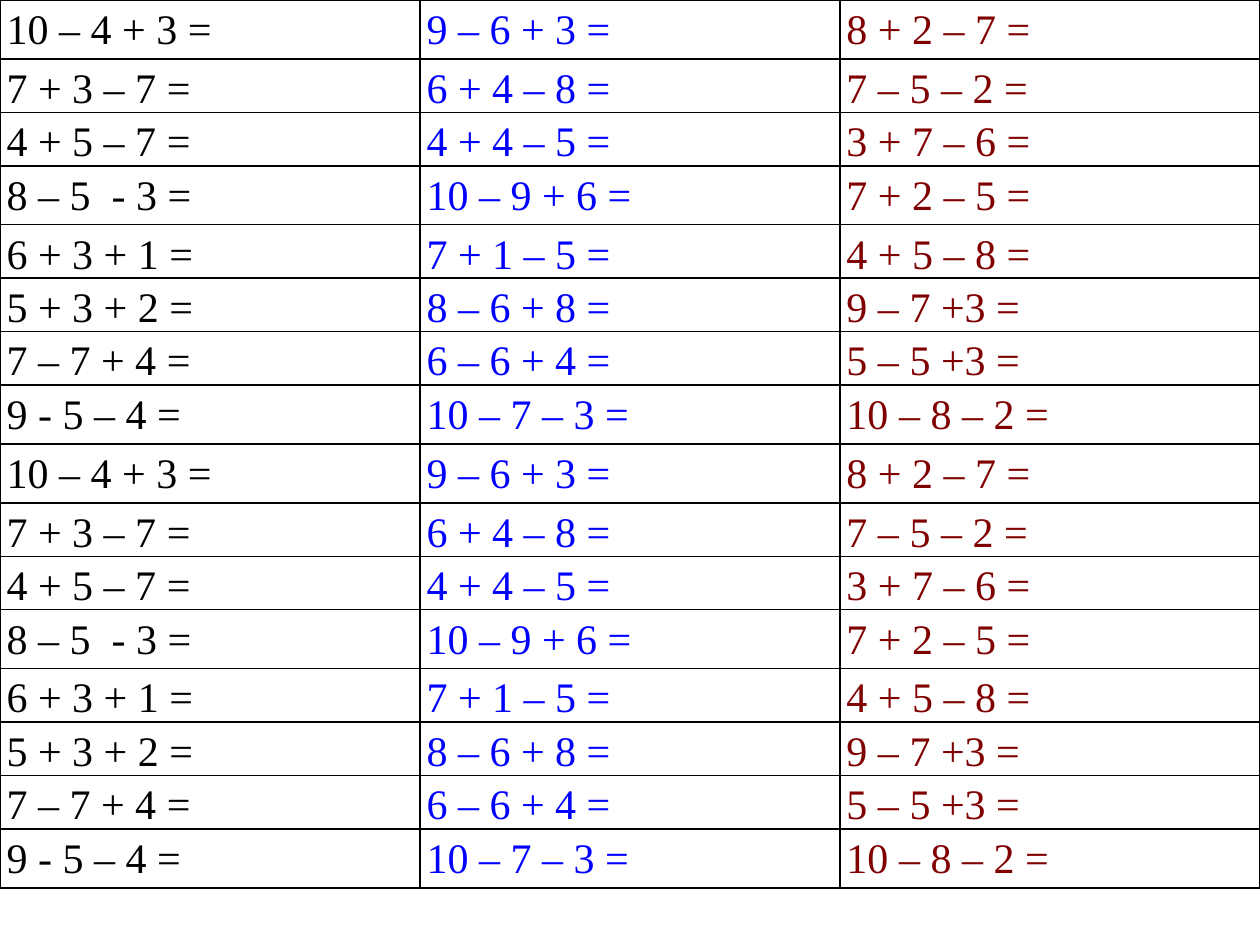
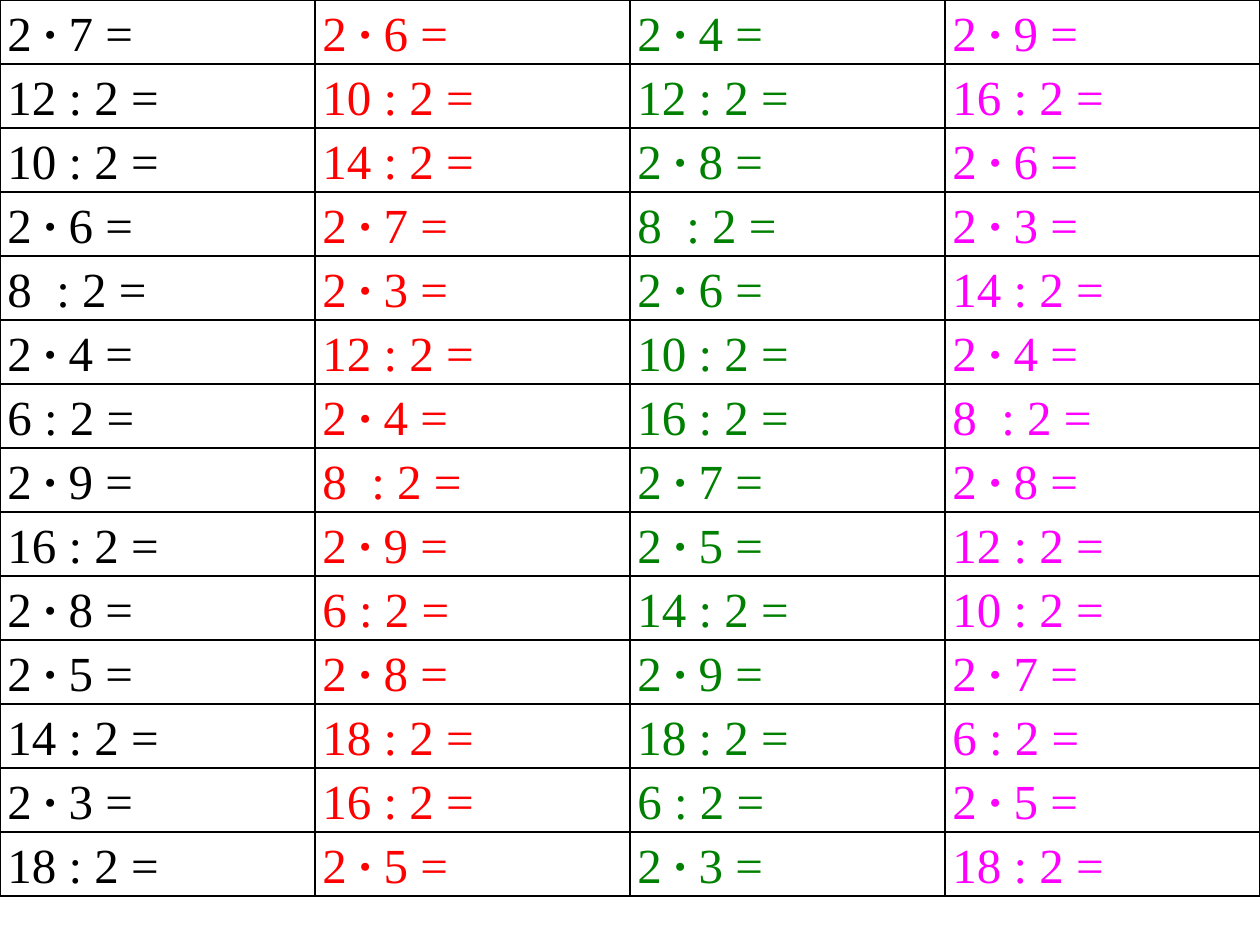
import pptx
import pptx.dml.color
import pptx.oxml
import pptx.oxml.ns
import pptx.util

Pt = pptx.util.Pt
RGB = pptx.dml.color.RGBColor

BLACK = RGB(0x00, 0x00, 0x00)
BLUE = RGB(0x00, 0x00, 0xFF)
MAROON = RGB(0x80, 0x00, 0x00)
RED = RGB(0xFF, 0x00, 0x00)
GREEN = RGB(0x00, 0x80, 0x00)
PINK = RGB(0xFF, 0x00, 0xFF)

FONT = "Times New Roman"
WIDTH, HEIGHT = 720, 540
DOT = "∙"

# The sheet of sums shows this set twice.
SUMS = """\
10 – 4 + 3 =|9 – 6 + 3 =|8 + 2 – 7 =
7 + 3 – 7 =|6 + 4 – 8 =|7 – 5 – 2 =
4 + 5 – 7 =|4 + 4 – 5 =|3 + 7 – 6 =
8 – 5  - 3 =|10 – 9 + 6 =|7 + 2 – 5 =
6 + 3 + 1 =|7 + 1 – 5 =|4 + 5 – 8 =
5 + 3 + 2 =|8 – 6 + 8 =|9 – 7 +3 =
7 – 7 + 4 =|6 – 6 + 4 =|5 – 5 +3 =
9 - 5 – 4 =|10 – 7 – 3 =|10 – 8 – 2 ="""

TWOS = """\
2 ∙ 7 =|2 ∙ 6 =|2 ∙ 4 =|2 ∙ 9 =
12 : 2 =|10 : 2 =|12 : 2 =|16 : 2 =
10 : 2 =|14 : 2 =|2 ∙ 8 =|2 ∙ 6 =
2 ∙ 6 =|2 ∙ 7 =|8  : 2 =|2 ∙ 3 =
8  : 2 =|2 ∙ 3 =|2 ∙ 6 =|14 : 2 =
2 ∙ 4 =|12 : 2 =|10 : 2 =|2 ∙ 4 =
6 : 2 =|2 ∙ 4 =|16 : 2 =|8  : 2 =
2 ∙ 9 =|8  : 2 =|2 ∙ 7 =|2 ∙ 8 =
16 : 2 =|2 ∙ 9 =|2 ∙ 5 =|12 : 2 =
2 ∙ 8 =|6 : 2 =|14 : 2 =|10 : 2 =
2 ∙ 5 =|2 ∙ 8 =|2 ∙ 9 =|2 ∙ 7 =
14 : 2 =|18 : 2 =|18 : 2 =|6 : 2 =
2 ∙ 3 =|16 : 2 =|6 : 2 =|2 ∙ 5 =
18 : 2 =|2 ∙ 5 =|2 ∙ 3 =|18 : 2 ="""


def split(text):
    return [line.split("|") for line in text.splitlines()]


def border(cell):
    props = cell._tc.get_or_add_tcPr()
    for place, side in enumerate("LRTB"):
        props.insert(place, pptx.oxml.parse_xml(
            f'<a:ln{side} {pptx.oxml.ns.nsdecls("a")} w="{Pt(1)}">'
            f'<a:solidFill><a:srgbClr val="{BLACK}"/></a:solidFill>'
            f'</a:ln{side}>'))


def write(cell, text, size, color):
    """Write one exercise, with its multiplication dot in bold."""
    line = cell.text_frame.paragraphs[0]
    line.line_spacing = 1.15
    left, dot, right = text.partition(DOT)
    for part in filter(None, (left, dot, right)):
        run = line.add_run()
        run.text = part
        run.font.name = FONT
        run.font.size = Pt(size)
        run.font.bold = part == DOT
        run.font.color.rgb = color


def sheet(deck, rows, colors, size, inset, heights, total):
    """Add a slide filled by one table with a colour for each column."""
    slide = deck.slides.add_slide(deck.slide_layouts[6])
    frame = slide.shapes.add_table(
        len(rows), len(colors), 0, 0, Pt(WIDTH), Pt(total))
    table = frame.table
    table.first_row = table.horz_banding = False
    for column in table.columns:
        column.width = Pt(WIDTH / len(colors))
    for row, height, texts in zip(table.rows, heights, rows):
        row.height = Pt(height)
        for cell, text, color in zip(row.cells, texts, colors):
            cell.margin_left = cell.margin_right = Pt(inset)
            cell.margin_top = cell.margin_bottom = 0
            cell.fill.background()
            border(cell)
            write(cell, text, size, color)
    frame.height = Pt(total)


def main():
    deck = pptx.Presentation()
    deck.slide_width, deck.slide_height = Pt(WIDTH), Pt(HEIGHT)

    sums = split(SUMS)
    tall, low = 33.7, 28.8
    steps = [tall if any(text.startswith("10") for text in row) else low
             for row in sums]
    sheet(deck, sums * 2, (BLACK, BLUE, MAROON), 24, 3.75, steps * 2, 514)

    twos = split(TWOS)
    sheet(deck, twos, (BLACK, RED, GREEN, PINK), 28, 4.3,
          [36.57] * len(twos), 540.5)

    deck.save("out.pptx")


if __name__ == "__main__":
    main()
